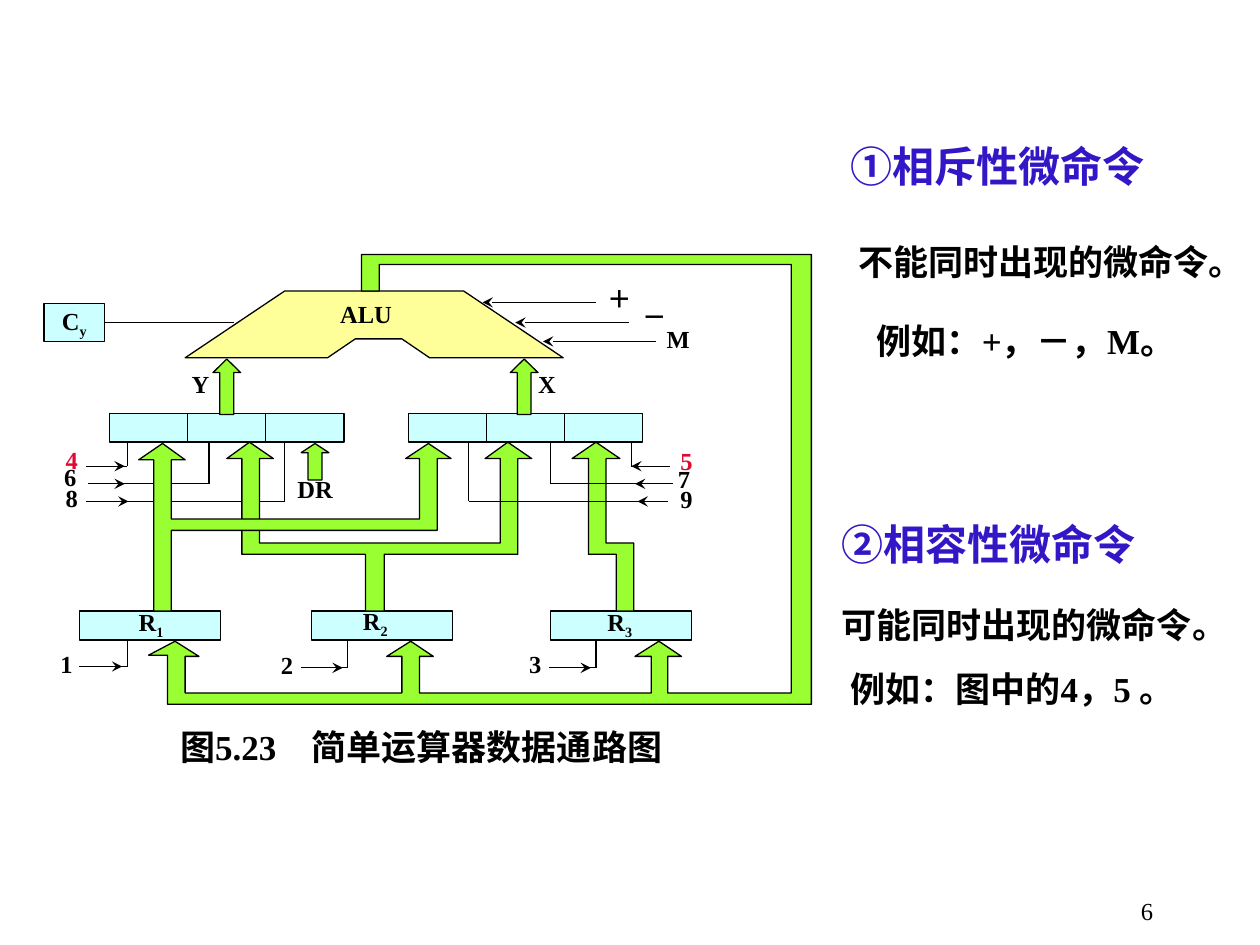
from lxml.etree import SubElement
from pptx import Presentation
from pptx.dml.color import RGBColor
from pptx.enum.shapes import MSO_CONNECTOR, MSO_SHAPE
from pptx.enum.text import MSO_ANCHOR, PP_ALIGN
from pptx.oxml.ns import qn
from pptx.util import Inches, Pt

FONT = "Times New Roman"
BLACK, RED, VIOLET = "000000", "DE0A32", "3316C6"
CYAN, YELLOW, GREEN = "CCFFFF", "FFFF99", "99FF33"
LINE_WIDTH = 0.75

ALU = [(2.26, 2.31), (3.68, 2.31), (4.47, 2.84), (3.41, 2.84), (3.19, 2.69),
       (2.82, 2.69), (2.6, 2.84), (1.47, 2.84)]
R3_BUS = [(4.73, 3.51), (4.54, 3.64), (4.67, 3.64), (4.67, 4.4), (4.89, 4.4),
          (4.89, 4.85), (5.03, 4.85), (5.03, 4.31), (4.81, 4.31), (4.81, 3.64),
          (4.92, 3.64)]
R2_BUS = [(1.98, 3.51), (1.8, 3.64), (1.92, 3.64), (1.92, 4.4), (2.9, 4.4),
          (2.9, 4.85), (3.05, 4.85), (3.05, 4.4), (4.11, 4.4), (4.11, 3.64),
          (4.22, 3.64), (4.03, 3.51), (3.85, 3.64), (3.97, 3.64), (3.97, 4.31),
          (2.06, 4.31), (2.06, 3.64), (2.17, 3.64)]
R1_BUS = [(1.22, 4.85), (1.22, 3.65), (1.1, 3.65), (1.29, 3.52), (1.47, 3.65),
          (1.36, 3.65), (1.36, 4.12), (3.33, 4.12), (3.33, 3.64), (3.22, 3.64),
          (3.4, 3.52), (3.58, 3.64), (3.47, 3.64), (3.47, 4.21), (1.36, 4.21),
          (1.36, 4.85)]
RESULT_BUS = [(3.01, 2.31), (3.01, 2.1), (6.28, 2.1), (6.28, 5.5), (5.3, 5.5),
              (5.3, 5.21), (5.41, 5.21), (5.23, 5.09), (5.04, 5.21), (5.17, 5.21),
              (5.17, 5.5), (3.33, 5.5), (3.33, 5.21), (3.44, 5.21), (3.26, 5.09),
              (3.07, 5.21), (3.19, 5.21), (3.19, 5.5), (1.47, 5.5), (1.47, 5.21),
              (1.58, 5.21), (1.39, 5.09), (1.18, 5.2), (1.33, 5.2), (1.33, 5.59),
              (6.44, 5.59), (6.44, 2.02), (2.87, 2.02), (2.87, 2.31)]

# Control leads: x and top of the riser, level, outer end, arrow tail, arrow tip
LEFT_LEADS = [(1.01, 3.51, 3.7, 0.68, 0.78, 0.99),
              (1.66, 3.51, 3.84, 0.7, 0.78, 0.99),
              (2.26, 3.51, 3.98, 0.68, 0.81, 1.02)]
RIGHT_LEADS = [(5.01, 3.52, 3.7, 5.32, 5.21, 5.01),
               (4.37, 3.52, 3.84, 5.34, 5.24, 5.04),
               (3.72, 3.52, 3.98, 5.3, 5.26, 5.06)]
REGISTER_LEADS = [(1.01, 5.08, 5.29, 0.63, 0.77, 0.97),
                  (2.76, 5.08, 5.3, 2.39, 2.52, 2.72),
                  (4.73, 5.08, 5.3, 4.36, 4.49, 4.69)]

# Labels: text, subscript, left, top, width, colour
LABELS = [
    ("ALU", "", 2.7, 2.37, 0.6, BLACK), ("DR", "", 2.36, 3.76, 0.42, BLACK),
    ("Y", "", 1.52, 2.93, 0.22, BLACK), ("X", "", 4.27, 2.93, 0.22, BLACK),
    ("＋", "", 4.82, 2.25, 0.25, BLACK), ("－", "", 5.1, 2.4, 0.2, BLACK),
    ("M", "", 5.29, 2.57, 0.22, BLACK),
    ("4", "", 0.52, 3.53, 0.22, RED), ("6", "", 0.51, 3.67, 0.22, BLACK),
    ("8", "", 0.52, 3.83, 0.22, BLACK), ("5", "", 5.4, 3.54, 0.22, RED),
    ("7", "", 5.38, 3.68, 0.22, BLACK), ("9", "", 5.4, 3.84, 0.22, BLACK),
    ("1", "", 0.48, 5.15, 0.22, BLACK), ("2", "", 2.23, 5.16, 0.22, BLACK),
    ("3", "", 4.2, 5.15, 0.22, BLACK),
    ("R", "1", 1.1, 4.82, 0.34, BLACK), ("R", "2", 2.88, 4.81, 0.34, BLACK),
    ("R", "3", 4.82, 4.82, 0.34, BLACK)]

# Explanations: text, left, top, width, height, size, colour
EXPLANATIONS = [
    ("①相斥性微命令", 6.65, 1.07, 3.14, 0.9, 24, VIOLET),
    (" 不能同时出现的微命令。", 6.65, 1.86, 3.54, 0.43, 20, BLACK),
    ("例如：+，－，M。", 6.86, 2.49, 3.14, 0.77, 20, BLACK),
    ("②相容性微命令", 6.58, 4.07, 3.14, 0.9, 24, VIOLET),
    ("可能同时出现的微命令。", 6.58, 4.74, 3.42, 0.43, 20, BLACK),
    ("例如：图中的4，5 。", 6.65, 5.25, 3.14, 0.43, 20, BLACK)]


def color(value):
    return RGBColor.from_string(value)


def write_text(shape, text, subscript="", size=14, text_color=BLACK, bold=True,
               align=PP_ALIGN.LEFT, inset=None):
    frame = shape.text_frame
    frame.word_wrap = True
    if inset is not None:
        for side in ("left", "top", "right", "bottom"):
            setattr(frame, f"margin_{side}", Inches(inset))
    paragraph = frame.paragraphs[0]
    paragraph.alignment = align
    font_format = {"name": FONT, "size": Pt(size), "bold": bold}
    for part, baseline in ((text, None), (subscript, "-25000")):
        if not part:
            continue
        run = paragraph.add_run()
        run.text = part
        for name, value in font_format.items():
            setattr(run.font, name, value)
        run.font.color.rgb = color(text_color)
        if baseline:
            run._r.get_or_add_rPr().set("baseline", baseline)


def add_text(slide, text, left, top, width, height, **text_format):
    box = slide.shapes.add_textbox(*map(Inches, (left, top, width, height)))
    write_text(box, text, **text_format)


def style_shape(shape, fill):
    shape.shadow.inherit = False
    shape.fill.solid()
    shape.fill.fore_color.rgb = color(fill)
    shape.line.color.rgb = color(BLACK)
    shape.line.width = Pt(LINE_WIDTH)


def add_preset(slide, preset, left, top, width, height, fill):
    shape = slide.shapes.add_shape(preset, *map(Inches, (left, top, width, height)))
    style_shape(shape, fill)
    return shape


def add_up_arrow(slide, left, top, height, head):
    arrow = add_preset(slide, MSO_SHAPE.UP_ARROW, left, top, 0.22, height, GREEN)
    arrow.adjustments[1] = head


def add_outline(slide, points, fill):
    corners = [(Inches(x), Inches(y)) for x, y in points]
    builder = slide.shapes.build_freeform(*corners[0])
    builder.add_line_segments(corners[1:], close=True)
    style_shape(builder.convert_to_shape(), fill)


def add_line(slide, x1, y1, x2, y2, arrow=False):
    line = slide.shapes.add_connector(
        MSO_CONNECTOR.STRAIGHT, *map(Inches, (x1, y1, x2, y2)))
    line.line.color.rgb = color(BLACK)
    line.line.width = Pt(LINE_WIDTH)
    if arrow:
        SubElement(line.line._get_or_add_ln(), qn("a:tailEnd"), type="stealth")
    SubElement(line._element.spPr, qn("a:effectLst"))
    return line


def add_leads(slide, leads):
    """Draw control lines that bend up into a register."""
    for riser, top, level, outer, tail, tip in leads:
        add_line(slide, riser, top, riser, level)
        add_line(slide, riser, level, outer, level)
        add_line(slide, tail, level, tip, level, arrow=True)


def add_registers(slide):
    for start in (0.87, 3.24):
        for index in range(3):
            add_preset(slide, MSO_SHAPE.RECTANGLE, start + 0.62 * index, 3.28,
                       0.62, 0.23, CYAN)
    for left in (0.63, 2.47, 4.37):
        add_preset(slide, MSO_SHAPE.RECTANGLE, left, 4.85, 1.12, 0.23, CYAN)


def add_carry_flag(slide):
    flag = add_preset(slide, MSO_SHAPE.RECTANGLE, 0.35, 2.41, 0.48, 0.3, CYAN)
    flag.text_frame.vertical_anchor = MSO_ANCHOR.MIDDLE
    write_text(flag, "C", "y", align=PP_ALIGN.CENTER, inset=0)
    add_line(slide, 0.83, 2.56, 1.86, 2.56).begin_connect(flag, 3)


def main():
    presentation = Presentation()
    presentation.slide_width, presentation.slide_height = Inches(10), Inches(7.5)
    slide = presentation.slides.add_slide(presentation.slide_layouts[6])

    add_leads(slide, LEFT_LEADS)
    add_outline(slide, ALU, YELLOW)
    add_registers(slide)
    for left, top, height, head in ((1.69, 2.85, 0.44, 0.49), (4.05, 2.85, 0.44, 0.49),
                                    (2.39, 3.52, 0.29, 0.33)):
        add_up_arrow(slide, left, top, height, head)
    for tip, level in ((4.31, 2.71), (4.09, 2.56), (3.83, 2.4)):
        add_line(slide, tip + 0.9, level, tip, level, arrow=True)
    for bus in (R3_BUS, R2_BUS, R1_BUS, RESULT_BUS):
        add_outline(slide, bus, GREEN)
    add_leads(slide, RIGHT_LEADS + REGISTER_LEADS)
    add_carry_flag(slide)
    for text, subscript, left, top, width, text_color in LABELS:
        add_text(slide, text, left, top, width, 0.28, subscript=subscript,
                 text_color=text_color, inset=0)

    add_text(slide, "图5.23\u3000简单运算器数据通路图".replace("\u3000", "　"),
             1.43, 5.76, 4.13, 0.34, size=20, inset=0)
    for text, left, top, width, height, size, text_color in EXPLANATIONS:
        add_text(slide, text, left, top, width, height, size=size, text_color=text_color)
    add_text(slide, "6", 7.17, 7.06, 2.08, 0.28, bold=False, align=PP_ALIGN.RIGHT)
    presentation.save("out.pptx")


if __name__ == "__main__":
    main()
